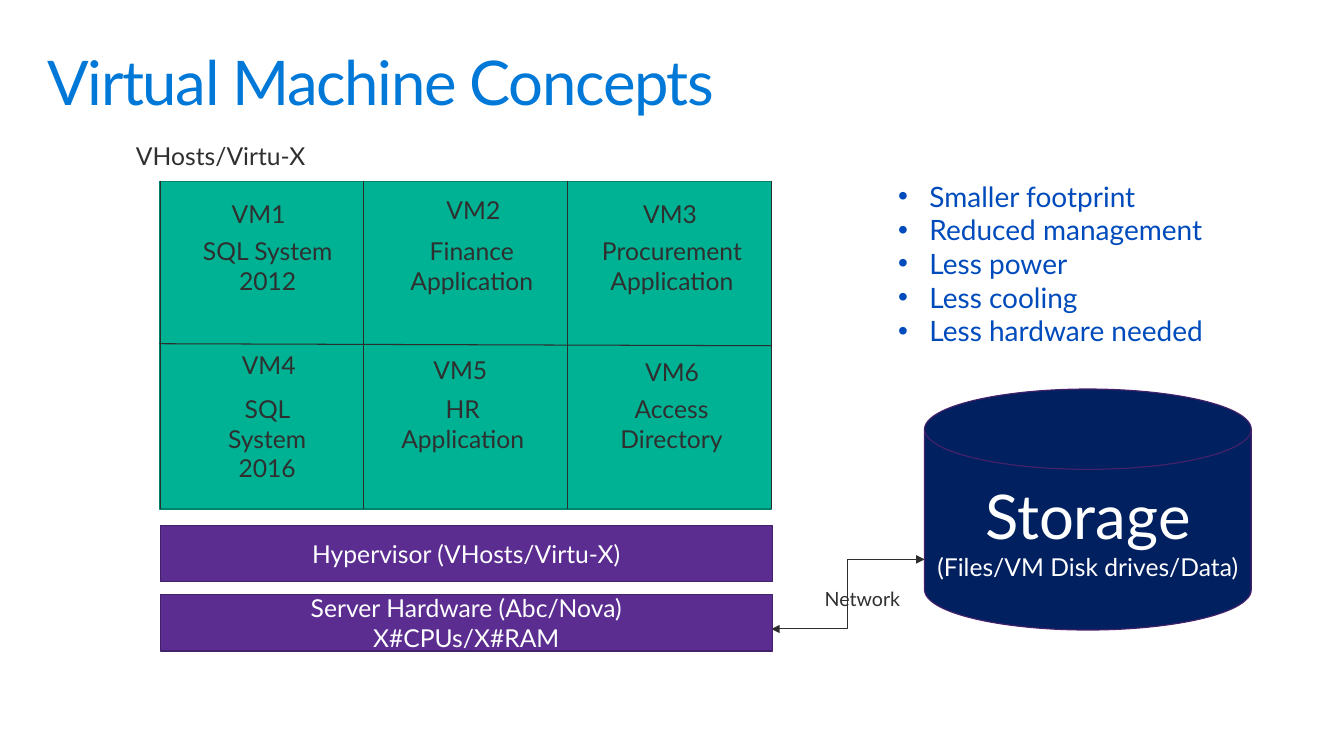
"""Build the Virtual Machine Concepts slide."""
from dataclasses import dataclass

from lxml import etree
from pptx import Presentation
from pptx.dml.color import RGBColor
from pptx.enum.shapes import MSO_CONNECTOR, MSO_SHAPE
from pptx.enum.text import MSO_ANCHOR, PP_ALIGN
from pptx.oxml.ns import qn
from pptx.util import Inches, Pt

RECT = MSO_SHAPE.RECTANGLE
DISK = MSO_SHAPE.FLOWCHART_MAGNETIC_DISK
STRAIGHT = MSO_CONNECTOR.STRAIGHT
ELBOW = MSO_CONNECTOR.ELBOW
LEFT = PP_ALIGN.LEFT
CENTER = PP_ALIGN.CENTER
MIDDLE = MSO_ANCHOR.MIDDLE

FONT = "Lato"
BODY_SIZE = 17.6
WHITE = RGBColor(0xFF, 0xFF, 0xFF)
TITLE_BLUE = RGBColor(0x00, 0x78, 0xD7)
BULLET_BLUE = RGBColor(0x00, 0x4B, 0xBC)
NAVY = RGBColor(0x00, 0x20, 0x60)
PURPLE = RGBColor(0x5C, 0x2D, 0x91)
DARK_PURPLE = RGBColor(0x44, 0x21, 0x6B)
TEAL = RGBColor(0x00, 0xB2, 0x94)
DARK_TEAL = RGBColor(0x00, 0x84, 0x6D)
TEXT_GRAY = RGBColor(0x2F, 0x2F, 0x2F)
LINE_GRAY = RGBColor(0x2D, 0x2D, 0x2D)


@dataclass(frozen=True)
class Block:
    box: tuple
    fill: RGBColor
    line: RGBColor
    lines: tuple = ()
    sizes: tuple = (BODY_SIZE, BODY_SIZE)
    kind: int = RECT


@dataclass(frozen=True)
class Label:
    box: tuple
    lines: tuple
    size: float = BODY_SIZE
    color: RGBColor = TEXT_GRAY
    align: int = LEFT


@dataclass(frozen=True)
class Machine:
    name: str
    name_at: tuple
    role: tuple
    role_at: tuple
    role_width: float


@dataclass(frozen=True)
class Rule:
    start: tuple
    end: tuple
    kind: int = STRAIGHT
    arrows: bool = False


GRID_LEFT, GRID_TOP, GRID_RIGHT, GRID_BOTTOM = 1.58, 1.8, 7.65, 5.05
ROLE_TOPS = (2.29, 3.86)

BLOCKS = (
    Block((1.59, 5.21, 6.07, 0.56), PURPLE, DARK_PURPLE, ("Hypervisor (VHosts/Virtu-X)",)),
    Block((1.59, 5.9, 6.07, 0.56), PURPLE, DARK_PURPLE,
          ("Server Hardware (Abc/Nova)", "X#CPUs/X#RAM")),
    Block((9.17, 3.86, 3.24, 2.39), NAVY, DARK_PURPLE,
          ("Storage", "(Files/VM Disk drives/Data)"), (44, BODY_SIZE), DISK),
    Block((GRID_LEFT, GRID_TOP, GRID_RIGHT - GRID_LEFT, GRID_BOTTOM - GRID_TOP),
          TEAL, DARK_TEAL),
)

RULES = (
    Rule((7.65, 6.24), (9.17, 5.55), ELBOW, True),
    Rule((GRID_LEFT, 3.41), (GRID_RIGHT, 3.43)),
    *(Rule((x, GRID_TOP), (x, GRID_BOTTOM)) for x in (1.59, 3.61, 5.63, GRID_RIGHT)),
)

MACHINES = (
    Machine("VM1", (2.2, 1.92), ("SQL System 2012",), (1.81, ROLE_TOPS[0]), 1.69),
    Machine("VM2", (4.33, 1.88), ("Finance", "Application"), (3.94, ROLE_TOPS[0]), 1.48),
    Machine("VM3", (6.28, 1.92), ("Procurement", "Application"), (5.85, ROLE_TOPS[0]), 1.63),
    Machine("VM4", (2.3, 3.42), ("SQL System 2016",), (1.96, ROLE_TOPS[1]), 1.38),
    Machine("VM5", (4.2, 3.47), ("HR", "Application"), (3.85, ROLE_TOPS[1]), 1.48),
    Machine("VM6", (6.3, 3.49), ("Access", "Directory"), (5.84, ROLE_TOPS[1]), 1.64),
)

TITLE = Label((0.37, 0.39, 12.28, 1.45), ("Virtual Machine Concepts",), 44, TITLE_BLUE)
BENEFITS = Label(
    (8.81, 1.73, 4.02, 2.46),
    ("Smaller footprint", "Reduced management", "Less power", "Less cooling",
     "Less hardware needed"),
    20, BULLET_BLUE)
LABELS = (
    Label((8.08, 5.77, 1.09, 0.27), ("Network",), 14),
    Label((1.25, 1.35, 4.69, 0.4), ("VHosts/Virtu-X",)),
    *(Label((*m.name_at, 0.77, 0.4), (m.name,)) for m in MACHINES),
    *(Label((*m.role_at, m.role_width, 0.71), m.role, align=CENTER) for m in MACHINES),
)


def write_lines(tf, lines: tuple, sizes: tuple, color: RGBColor, align: int) -> None:
    tf.word_wrap = True
    tf.text = "\n".join(lines)
    for p, size in zip(tf.paragraphs, sizes):
        p.alignment = align
        for r in p.runs:
            r.font.name = FONT
            r.font.size = Pt(size)
            r.font.color.rgb = color


def draw_block(slide, block: Block) -> None:
    sp = slide.shapes.add_shape(block.kind, *map(Inches, block.box))
    sp.shadow.inherit = False
    sp.fill.solid()
    sp.fill.fore_color.rgb = block.fill
    sp.line.color.rgb = block.line
    sp.line.width = Pt(0.85)
    if block.lines:
        sp.text_frame.vertical_anchor = MIDDLE
        write_lines(sp.text_frame, block.lines, block.sizes, WHITE, CENTER)


def draw_label(slide, label: Label):
    tf = slide.shapes.add_textbox(*map(Inches, label.box)).text_frame
    sizes = (label.size,) * len(label.lines)
    write_lines(tf, label.lines, sizes, label.color, label.align)
    return tf


def draw_rule(slide, rule: Rule) -> None:
    line = slide.shapes.add_connector(rule.kind, *map(Inches, rule.start + rule.end))
    line.line.color.rgb = LINE_GRAY
    line.line.width = Pt(0.75)
    sp_pr = line._element.spPr
    if rule.arrows:
        for tag in ("a:headEnd", "a:tailEnd"):
            etree.SubElement(sp_pr.find(qn("a:ln")), qn(tag), type="triangle")
    etree.SubElement(sp_pr, qn("a:effectLst"))


def add_bullets(tf) -> None:
    indent = Inches(0.31)
    for p in tf.paragraphs:
        p_pr = p._p.get_or_add_pPr()
        p_pr.set("marL", str(indent))
        p_pr.set("indent", str(-indent))
        etree.SubElement(p_pr, qn("a:buFont"), typeface="Arial")
        etree.SubElement(p_pr, qn("a:buChar"), char="•")


def main() -> None:
    prs = Presentation()
    prs.slide_width, prs.slide_height = Inches(13.33), Inches(7.5)
    s = prs.slides.add_slide(prs.slide_layouts[6])
    title = draw_label(s, TITLE)
    title.paragraphs[0].runs[0].font._element.set("spc", "-100")
    for block in BLOCKS:
        draw_block(s, block)
    for rule in RULES:
        draw_rule(s, rule)
    for label in LABELS:
        draw_label(s, label)
    add_bullets(draw_label(s, BENEFITS))
    prs.save("out.pptx")


if __name__ == "__main__":
    main()
